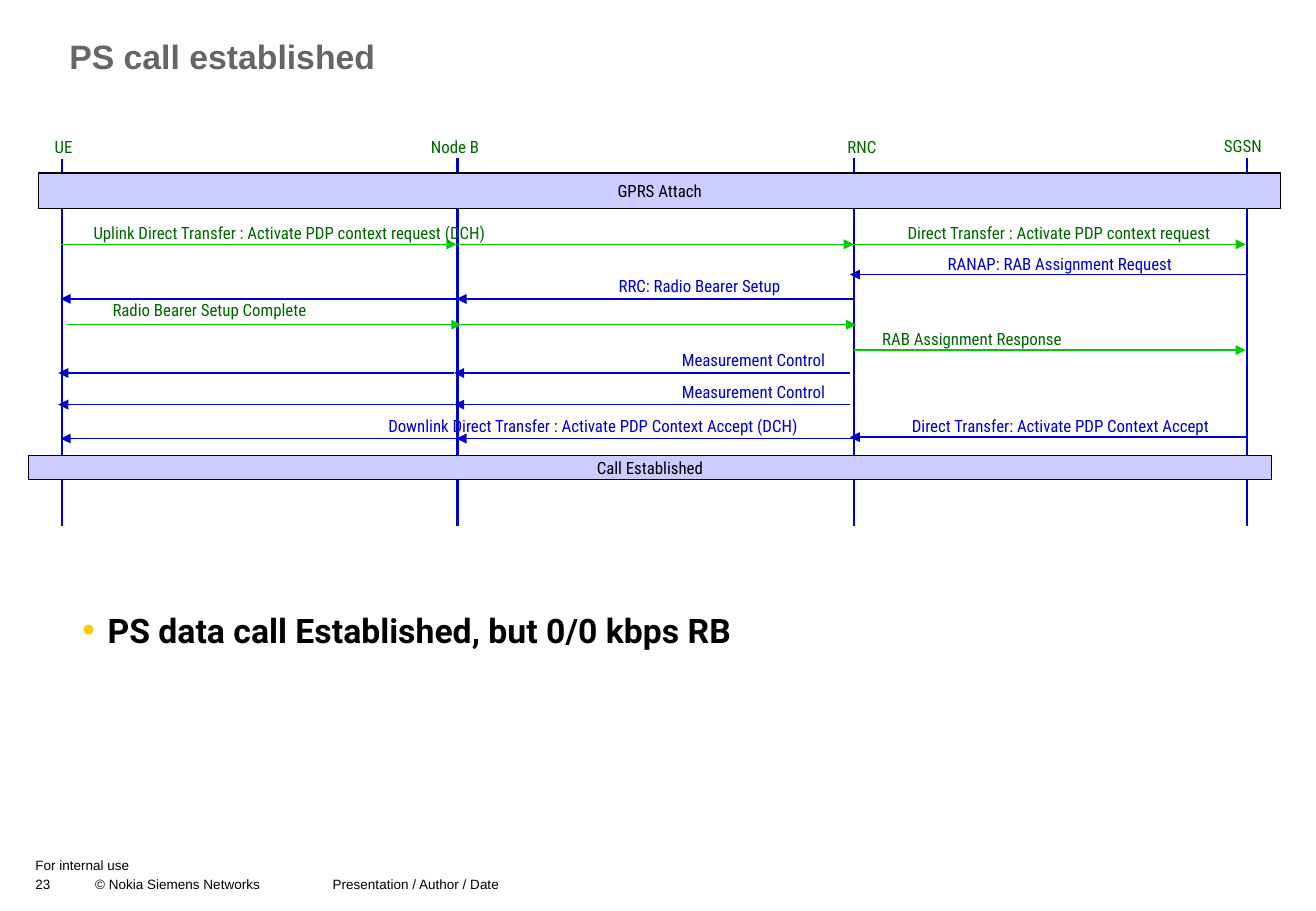
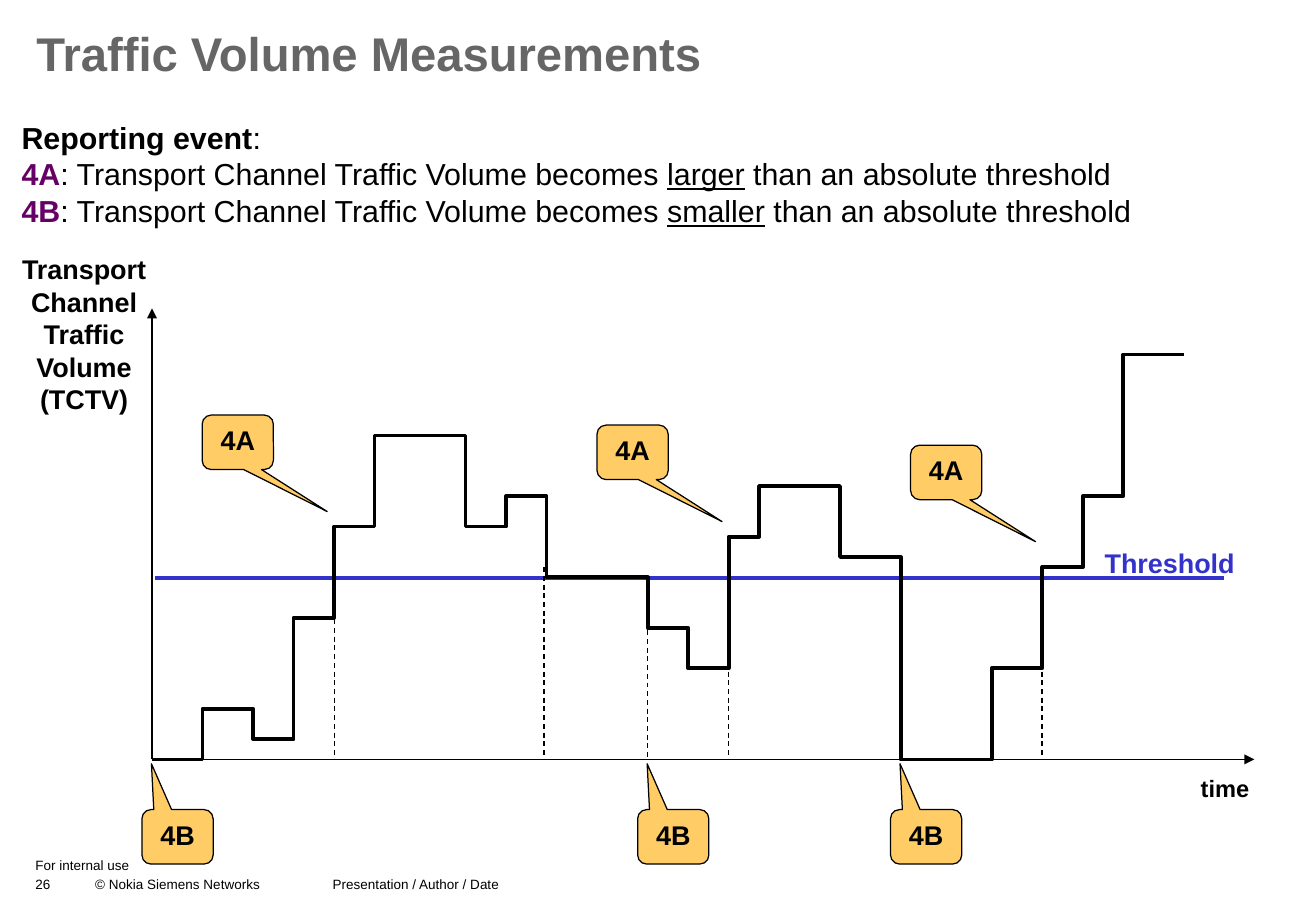
import dataclasses
import itertools
from typing import NamedTuple

import lxml.etree
import pptx
import pptx.dml.color
import pptx.dml.line
import pptx.enum.dml
import pptx.enum.shapes
import pptx.enum.text
import pptx.oxml.ns
import pptx.presentation
import pptx.shapes.autoshape
import pptx.slide
import pptx.text.text
import pptx.util

Cm = pptx.util.Cm
Pt = pptx.util.Pt
qn = pptx.oxml.ns.qn
Align = pptx.enum.text.PP_ALIGN
Anchor = pptx.enum.text.MSO_ANCHOR
Shape = pptx.enum.shapes.MSO_SHAPE


@dataclasses.dataclass(frozen=True)
class Theme:
    ink: str = "000000"
    grey: str = "666666"
    blue: str = "0000CC"
    green: str = "00CC00"
    pine: str = "006600"
    band: str = "CCCCFF"
    gold: str = "FFCC00"
    note: str = "FFCC66"
    plum: str = "660066"
    limit: str = "3333CC"
    sans: str = "Arial"
    slim: str = "Roboto Condensed"
    bold: str = "Roboto"
    tiny: float = 8
    small: float = 10
    mid: float = 14
    tag: float = 16
    body: float = 18
    head: float = 20
    huge: float = 28
    thin: float = 0.75
    firm: float = 1.5
    thick: float = 2.25


T = Theme()


class Box(NamedTuple):
    left: float
    top: float
    width: float
    height: float


class Run(NamedTuple):
    text: str
    size: float
    color: str = T.ink
    font: str = T.sans
    bold: bool = False
    under: bool = False


class Node(NamedTuple):
    name: str
    mid: float
    top: float
    line: float
    start: float


class Message(NamedTuple):
    text: str
    mid: float
    top: float
    y: float
    stops: tuple[float, ...]


class Band(NamedTuple):
    text: str
    box: Box


class Step(NamedTuple):
    end: int
    level: int


class Event(NamedTuple):
    text: str
    left: float
    top: float


def tint(code: str) -> pptx.dml.color.RGBColor:
    return pptx.dml.color.RGBColor.from_string(code)


def place(shape, box: Box) -> None:
    shape.left, shape.top, shape.width, shape.height = map(Cm, box)


def stroke(line: pptx.dml.line.LineFormat, color: str, width: float) -> None:
    line.color.rgb = tint(color)
    line.width = Pt(width)


def write(frame: pptx.text.text.TextFrame, lines: list[list[Run]],
          align=Align.LEFT, pad: tuple[float, float] = (0.25, 0.13),
          space: float = 1.0, wrap: bool = False, anchor=Anchor.TOP) -> None:
    frame.auto_size = pptx.enum.text.MSO_AUTO_SIZE.NONE
    frame.word_wrap = wrap
    frame.vertical_anchor = anchor
    frame.margin_left = frame.margin_right = Cm(pad[0])
    frame.margin_top = frame.margin_bottom = Cm(pad[1])
    for index, runs in enumerate(lines):
        para = frame.add_paragraph() if index else frame.paragraphs[0]
        para.alignment = align
        para.line_spacing = space
        para.space_before = Pt(0)
        for item in runs:
            run = para.add_run()
            run.text = item.text
            font = run.font
            font.name, font.size = item.font, Pt(item.size)
            font.bold, font.underline = item.bold, item.under
            font.color.rgb = tint(item.color)


def label(slide: pptx.slide.Slide, box: Box, lines: list[list[Run]], **style) -> None:
    area = slide.shapes.add_textbox(*map(Cm, box))
    write(area.text_frame, lines, **style)


def caption(slide: pptx.slide.Slide, text: str, mid: float, top: float, color: str) -> None:
    width = 10
    label(slide, Box(mid - width / 2, top, width, 0.69),
          [[Run(text, T.small, color, T.slim)]], align=Align.CENTER)


def rule(slide: pptx.slide.Slide, start: tuple[float, float], end: tuple[float, float],
         color: str, width: float = T.thin, arrow: bool = False, dash: bool = False) -> None:
    link = slide.shapes.add_connector(
        pptx.enum.shapes.MSO_CONNECTOR.STRAIGHT, *map(Cm, start + end))
    stroke(link.line, color, width)
    if dash:
        link.line.dash_style = pptx.enum.dml.MSO_LINE.DASH
    props = link.element.spPr
    if arrow:
        lxml.etree.SubElement(props.find(qn("a:ln")), qn("a:tailEnd"), type="triangle")
    lxml.etree.SubElement(props, qn("a:effectLst"))


def block(slide: pptx.slide.Slide, kind: Shape, box: Box, color: str, run: Run,
          **style) -> pptx.shapes.autoshape.Shape:
    shape = slide.shapes.add_shape(kind, *map(Cm, box))
    shape.shadow.inherit = False
    shape.fill.solid()
    shape.fill.fore_color.rgb = tint(color)
    stroke(shape.line, T.ink, T.thin)
    write(shape.text_frame, [[run]], align=Align.CENTER, **style)
    return shape


def tabs(para, stops: tuple[float, ...]) -> None:
    group = lxml.etree.SubElement(para._p.get_or_add_pPr(), qn("a:tabLst"))
    for stop in stops:
        lxml.etree.SubElement(group, qn("a:tab"), pos=str(Cm(stop)), algn="l")


def bullet(para, indent: float) -> None:
    props = para._p.get_or_add_pPr()
    props.set("marL", str(Cm(indent)))
    props.set("indent", str(-Cm(indent)))
    color = lxml.etree.SubElement(props, qn("a:buClr"))
    lxml.etree.SubElement(color, qn("a:srgbClr"), val=T.gold)
    lxml.etree.SubElement(props, qn("a:buSzPct"), val="110000")
    lxml.etree.SubElement(props, qn("a:buFont"), typeface=T.sans)
    lxml.etree.SubElement(props, qn("a:buChar"), char="•")


def plain(para) -> None:
    props = para._p.get_or_add_pPr()
    props.set("marL", "0")
    props.set("indent", "0")
    lxml.etree.SubElement(props, qn("a:buNone"))


def page(deck: pptx.presentation.Presentation, number: int, title: str,
         box: Box, size: float) -> pptx.slide.Slide:
    slide = deck.slides.add_slide(deck.slide_layouts[1])
    head = slide.shapes.title
    place(head, box)
    write(head.text_frame, [[Run(title, size, T.grey, bold=True)]],
          pad=(0, 0), space=0.9, wrap=True)
    label(slide, Box(0.74, 17.93, 9.17, 0.38), [[Run("For internal use", T.tiny)]], pad=(0, 0))
    foot = slide.shapes.add_textbox(*map(Cm, Box(0.74, 18.31, 20.6, 0.43)))
    tabs(foot.text_frame.paragraphs[0], (1.25, 6.22))
    parts = (str(number), "\t© Nokia Siemens Networks", "\tPresentation / Author / Date")
    write(foot.text_frame, [[Run(part, T.tiny) for part in parts]], pad=(0, 0))
    return slide


NODES = (
    Node("UE", 1.33, 2.72, 1.3, 3.33),
    Node("Node B", 9.52, 2.72, 9.57, 3.3),
    Node("RNC", 18.03, 2.72, 17.87, 3.3),
    Node("SGSN", 26, 2.7, 26.09, 3.3),
)
MESSAGES = (
    Message("Uplink Direct Transfer : Activate PDP context request (DCH)",
            6.05, 4.52, 5.11, (1.27, 9.55, 17.86)),
    Message("Direct Transfer : Activate PDP context request", 22.15, 4.52, 5.11, (17.78, 26.06)),
    Message("RANAP: RAB Assignment Request", 22.17, 5.18, 5.74, (26.06, 17.78)),
    Message("RRC: Radio Bearer Setup", 14.63, 5.64, 6.25, (17.86, 9.55, 1.27)),
    Message("Radio Bearer Setup Complete", 4.38, 6.13, 6.79, (1.4, 9.65, 17.91)),
    Message("RAB Assignment Response", 20.33, 6.74, 7.32, (17.86, 26.06)),
    Message("Measurement Control", 15.76, 7.19, 7.8, (17.78, 9.5, 1.22)),
    Message("Measurement Control", 15.76, 7.85, 8.46, (17.78, 9.5, 1.22)),
    Message("Downlink Direct Transfer : Activate PDP Context Accept (DCH)",
            12.4, 8.56, 9.17, (17.86, 9.55, 1.27)),
    Message("Direct Transfer: Activate PDP Context Accept", 22.18, 8.56, 9.14, (26.06, 17.78)),
)
BANDS = (
    Band("GPRS Attach", Box(0.81, 3.62, 25.98, 0.74)),
    Band("Call Established", Box(0.59, 9.52, 26.01, 0.51)),
)


def calls(deck: pptx.presentation.Presentation) -> None:
    slide = page(deck, 23, "PS call established", Box(1.45, 0.84, 24.92, 1.45), T.head)
    for node in NODES:
        rule(slide, (node.line, node.start), (node.line, 11), T.blue, T.firm)
        caption(slide, node.name, node.mid, node.top, T.pine)
    for item in MESSAGES:
        rises = item.stops[0] < item.stops[-1]
        for start, end in itertools.pairwise(item.stops):
            rule(slide, (start, item.y), (end, item.y),
                 T.green if rises else T.blue, arrow=True)
        caption(slide, item.text, item.mid, item.top, T.pine if rises else T.blue)
    for band in BANDS:
        block(slide, Shape.RECTANGLE, band.box, T.band, Run(band.text, T.small, font=T.slim),
              pad=(0, 0), anchor=Anchor.MIDDLE)
    body = slide.placeholders[1]
    place(body, Box(1.47, 12.62, 24.77, 1.12))
    bullet(body.text_frame.paragraphs[0], 0.53)
    write(body.text_frame, [[Run("PS data call Established, but 0/0 kbps RB",
                                 T.head, font=T.bold, bold=True)]], wrap=True)


UNIT = 2.54 / 12
LEFT, BASE = 3.18, 15.88
STEPS = tuple(itertools.starmap(Step, (
    (5, 0), (10, 5), (14, 2), (18, 14), (22, 23), (31, 32), (35, 23), (39, 26),
    (49, 18), (53, 13), (57, 9), (60, 22), (68, 27), (74, 20), (83, 0), (88, 9),
    (92, 19), (96, 26), (102, 40))))
DROPS = ((6.99, 11.86), (11.38, 11.86), (13.54, 12.27), (15.24, 11.86), (21.8, 11.86))
EVENTS = (
    Event("4B", 2.97, 16.93), Event("4B", 13.34, 16.93), Event("4B", 18.63, 16.93),
    Event("4A", 4.23, 8.68), Event("4A", 12.49, 8.89), Event("4A", 19.05, 9.31),
)
WEDGE = {"4A": (1.256, 1.271), "4B": (-0.366, -1.341)}


def trace(slide: pptx.slide.Slide) -> None:
    points, start = [], 0
    for step in STEPS:
        y = Cm(BASE - step.level * UNIT)
        points += [(Cm(LEFT + x * UNIT), y) for x in (start, step.end)]
        start = step.end
    pen = slide.shapes.build_freeform(*points[0])
    pen.add_line_segments(points[1:], close=False)
    curve = pen.convert_to_shape()
    curve.shadow.inherit = False
    curve.fill.background()
    stroke(curve.line, T.ink, T.thick)


def volume(deck: pptx.presentation.Presentation) -> None:
    slide = page(deck, 26, "Traffic Volume Measurements", Box(0.76, 0.64, 25.98, 2.29), T.huge)
    lines = [[Run("Reporting event", T.body, bold=True), Run(":", T.body)]]
    for name, change in (("4A", "larger"), ("4B", "smaller")):
        lines.append([
            Run(name, T.body, T.plum, bold=True),
            Run(": Transport Channel Traffic Volume becomes ", T.body),
            Run(change, T.body, under=True),
            Run(" than an absolute threshold", T.body)])
    body = slide.placeholders[1]
    place(body, Box(0.2, 2.36, 25, 2.54))
    write(body.text_frame, lines, wrap=True)
    for para in body.text_frame.paragraphs:
        plain(para)
    rule(slide, (3.25, 12.09), (25.6, 12.09), T.limit, T.thick)
    rule(slide, (3.25, BASE), (26.24, BASE), T.ink, arrow=True)
    rule(slide, (LEFT, BASE), (LEFT, 6.45), T.ink, arrow=True)
    label(slide, Box(24.87, 16.05, 1.52, 0.86), [[Run("time", T.mid, bold=True)]])
    label(slide, Box(22.86, 11.3, 3.23, 0.94), [[Run("Threshold", T.tag, T.limit, bold=True)]])
    words = ("Transport", "Channel", "Traffic", "Volume", "(TCTV)")
    label(slide, Box(0.2, 5.16, 3.12, 3.66), [[Run(word, T.tag, bold=True)] for word in words],
          align=Align.CENTER)
    trace(slide)
    for x, top in DROPS:
        rule(slide, (x, top), (x, BASE), T.ink, dash=True)
    for event in EVENTS:
        shape = block(slide, Shape.ROUNDED_RECTANGULAR_CALLOUT,
                      Box(event.left, event.top, 1.49, 1.14), T.note,
                      Run(event.text, T.tag, bold=True))
        shape.adjustments[0], shape.adjustments[1] = WEDGE[event.text]


def main() -> None:
    deck = pptx.Presentation()
    deck.slide_width, deck.slide_height = Cm(27.53), Cm(19.05)
    calls(deck)
    volume(deck)
    deck.save("out.pptx")


if __name__ == "__main__":
    main()
